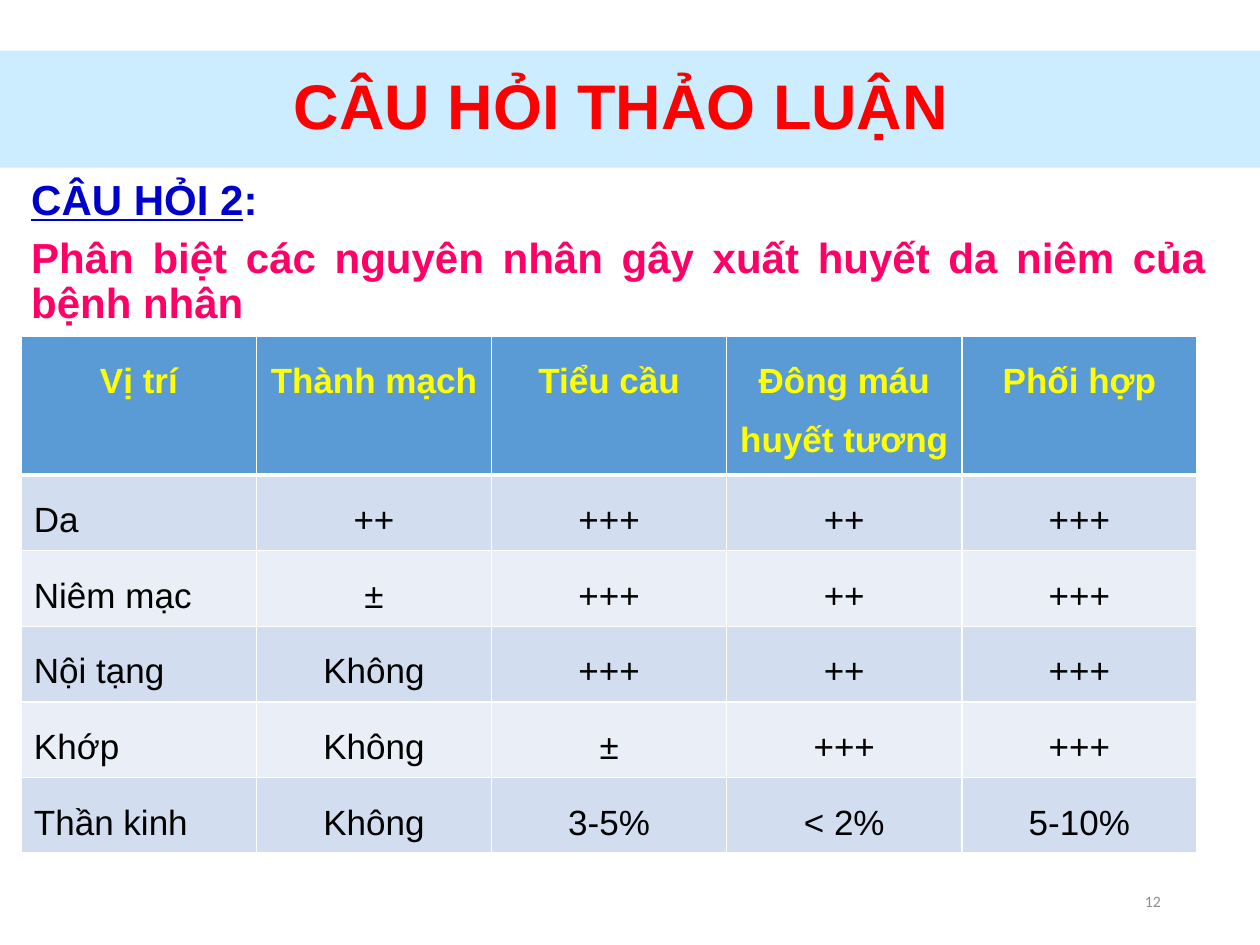
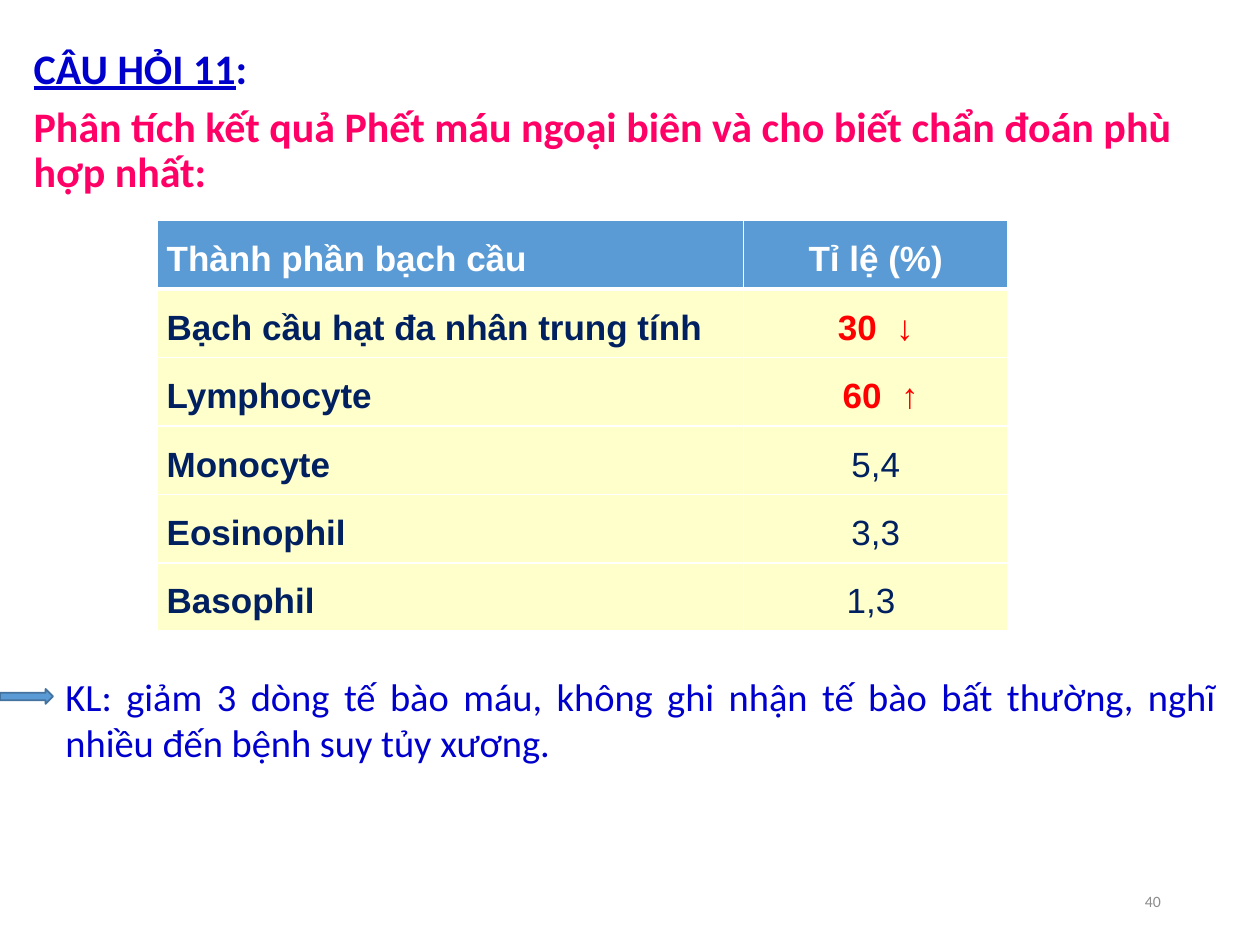
"""Build two discussion slides on bleeding and blood smear results."""
import pptx
import pptx.dml.color
import pptx.enum.shapes
import pptx.enum.text
import pptx.oxml
import pptx.oxml.ns
import pptx.util

Cm = pptx.util.Cm
Pt = pptx.util.Pt
ALIGN = pptx.enum.text.PP_ALIGN
ANCHOR = pptx.enum.text.MSO_ANCHOR
SHAPE = pptx.enum.shapes.MSO_SHAPE

WHITE, BLACK, RED, YELLOW = "FFFFFF", "000000", "FF0000", "FFFF00"
BLUE, PINK, NAVY, GREY = "0000CC", "FF0066", "002060", "8C8C8C"
BAND, HEADER, OUTLINE = "CCECFF", "5B9BD5", "43739E"
STRIPES = ("EAEFF7", "D2DEEF")
CREAM = "FFFFCC"


def colour(value):
    return pptx.dml.color.RGBColor.from_string(value)


def style(name, size, shade, bold=False, underline=False):
    return {"name": name, "size": Pt(size), "shade": shade,
            "bold": bold, "underline": underline}


class Builder:
    def __init__(self):
        self.deck = pptx.Presentation()
        self.deck.slide_width = Cm(25.4)
        self.deck.slide_height = Cm(19.05)
        self.page = None

    def new_page(self, number):
        self.page = self.deck.slides.add_slide(self.deck.slide_layouts[6])
        box = self.text_box(17.93, 17.65, 5.72, 1.02, ANCHOR.MIDDLE)
        self.add_text(box.paragraphs[0], number, style("Calibri", 9, GREY), ALIGN.RIGHT)

    def add_text(self, para, text, form, align=ALIGN.LEFT, spacing=1.0):
        para.alignment = align
        para.line_spacing = spacing
        span = para.add_run()
        span.text = text
        for key, value in form.items():
            if key == "shade":
                span.font.color.rgb = colour(value)
            else:
                setattr(span.font, key, value)

    def text_box(self, left, top, width, height, anchor=ANCHOR.TOP):
        box = self.page.shapes.add_textbox(Cm(left), Cm(top), Cm(width), Cm(height))
        frame = box.text_frame
        frame.word_wrap = True
        frame.vertical_anchor = anchor
        return frame

    def shape(self, kind, left, top, width, height, fill, line=None):
        shape = self.page.shapes.add_shape(kind, Cm(left), Cm(top), Cm(width), Cm(height))
        shape.shadow.inherit = False
        shape.fill.solid()
        shape.fill.fore_color.rgb = colour(fill)
        if line:
            shape.line.color.rgb = colour(line)
            shape.line.width = Pt(1)
        else:
            shape.line.fill.background()
        return shape

    def title(self, text):
        band = self.shape(SHAPE.RECTANGLE, 0, 1.02, 25.4, 2.36, BAND)
        frame = band.text_frame
        frame.word_wrap = True
        frame.vertical_anchor = ANCHOR.MIDDLE
        self.add_text(frame.paragraphs[0], text, style("Arial", 36, RED, True),
                      ALIGN.CENTER, 0.9)

    def question(self, place, font, label, colon, text, align):
        frame = self.text_box(*place)
        heading = frame.paragraphs[0]
        self.add_text(heading, label, style(font, 24, BLUE, True, True), align, 0.9)
        self.add_text(heading, colon, style(font, 24, BLUE, True), align, 0.9)
        para = frame.add_paragraph()
        para.space_before = Pt(7.5)
        self.add_text(para, text, style(font, 24, PINK, True), align, 0.9)

    def borders(self, cell, row):
        properties = cell._tc.get_or_add_tcPr()
        widths = {"L": 1, "R": 1, "T": 3 if row == 1 else 1, "B": 3 if row == 0 else 1}
        for side, width in widths.items():
            properties.append(pptx.oxml.parse_xml(
                f'<a:ln{side} {pptx.oxml.ns.nsdecls("a")} w="{Pt(width)}"><a:solidFill>'
                f'<a:srgbClr val="{WHITE}"/></a:solidFill></a:ln{side}>'))

    def table(self, left, top, widths, row_height, rows, look, margins=None):
        table = self.page.shapes.add_table(
            len(rows), len(widths), Cm(left), Cm(top),
            Cm(sum(widths)), Cm(row_height * len(rows))).table
        for column, width in zip(table.columns, widths):
            column.width = Cm(width)
        for row, texts in enumerate(rows):
            table.rows[row].height = Cm(row_height)
            for column, text in enumerate(texts):
                cell = table.cell(row, column)
                fill, shade, bold, align = look(row, column)
                self.borders(cell, row)
                cell.fill.solid()
                cell.fill.fore_color.rgb = colour(fill)
                for key, value in (margins or {}).items():
                    setattr(cell, key, value)
                self.add_text(cell.text_frame.paragraphs[0], text,
                              style("Arial", 20, shade, bold), align, 1.5)


def cause_look(row, column):
    if row == 0:
        return HEADER, YELLOW, True, ALIGN.CENTER
    return STRIPES[row % 2], BLACK, False, ALIGN.CENTER if column else ALIGN.LEFT


def smear_look(row, column):
    align = ALIGN.CENTER if column else ALIGN.JUSTIFY
    if row == 0:
        return HEADER, WHITE, True, align
    abnormal = row in (1, 2)
    shade = RED if column and abnormal else NAVY
    return CREAM, shade, column == 0 or abnormal, align


def causes_page(builder):
    builder.new_page("12")
    builder.title("CÂU HỎI THẢO LUẬN ")
    builder.question((0.38, 3.48, 24.18, 12.09), "Arial", "CÂU HỎI 2", ": ",
                     "Phân biệt các nguyên nhân gây xuất huyết da niêm của bệnh nhân",
                     ALIGN.JUSTIFY)
    rows = [
        ("Vị trí", "Thành mạch", "Tiểu cầu", "Đông máu huyết tương", "Phối hợp"),
        ("Da", "++", "+++", "++", "+++"),
        ("Niêm mạc", "±", "+++", "++", "+++"),
        ("Nội tạng", "Không", "+++", "++", "+++"),
        ("Khớp", "Không", "±", "+++", "+++"),
        ("Thần kinh", "Không", "3-5%", "< 2%", "5-10%"),
    ]
    builder.table(0.43, 6.78, [4.74] * 5, 1.04, rows, cause_look)


def smear_page(builder):
    builder.new_page("40")
    builder.question((0.43, 0.84, 24.33, 16.18), "Calibri", "CÂU HỎI 11", ":",
                     "Phân tích kết quả Phết máu ngoại biên và cho biết chẩn đoán "
                     "phù hợp nhất:", ALIGN.LEFT)
    rows = [
        ("Thành phần bạch cầu", "Tỉ lệ (%)"),
        ("Bạch cầu hạt đa nhân trung tính", "30  ↓"),
        ("Lymphocyte", " 60  ↑"),
        ("Monocyte", "5,4"),
        ("Eosinophil", "3,3"),
        ("Basophil", "1,3 "),
    ]
    margins = {"margin_left": Cm(0.18), "margin_right": Cm(0.18),
               "margin_top": 0, "margin_bottom": 0}
    builder.table(3.18, 4.45, [11.81, 5.33], 1.38, rows, smear_look, margins)
    frame = builder.text_box(1.07, 13.44, 23.7, 4.01)
    builder.add_text(frame.paragraphs[0],
                     "KL: giảm 3 dòng tế bào máu, không ghi nhận tế bào bất thường, "
                     "nghĩ nhiều đến bệnh suy tủy xương.",
                     style("Calibri", 22, BLUE), ALIGN.JUSTIFY)
    builder.shape(SHAPE.RIGHT_ARROW, 0, 13.89, 1.07, 0.3, HEADER, OUTLINE)


def main():
    builder = Builder()
    causes_page(builder)
    smear_page(builder)
    builder.deck.save("out.pptx")


if __name__ == "__main__":
    main()
